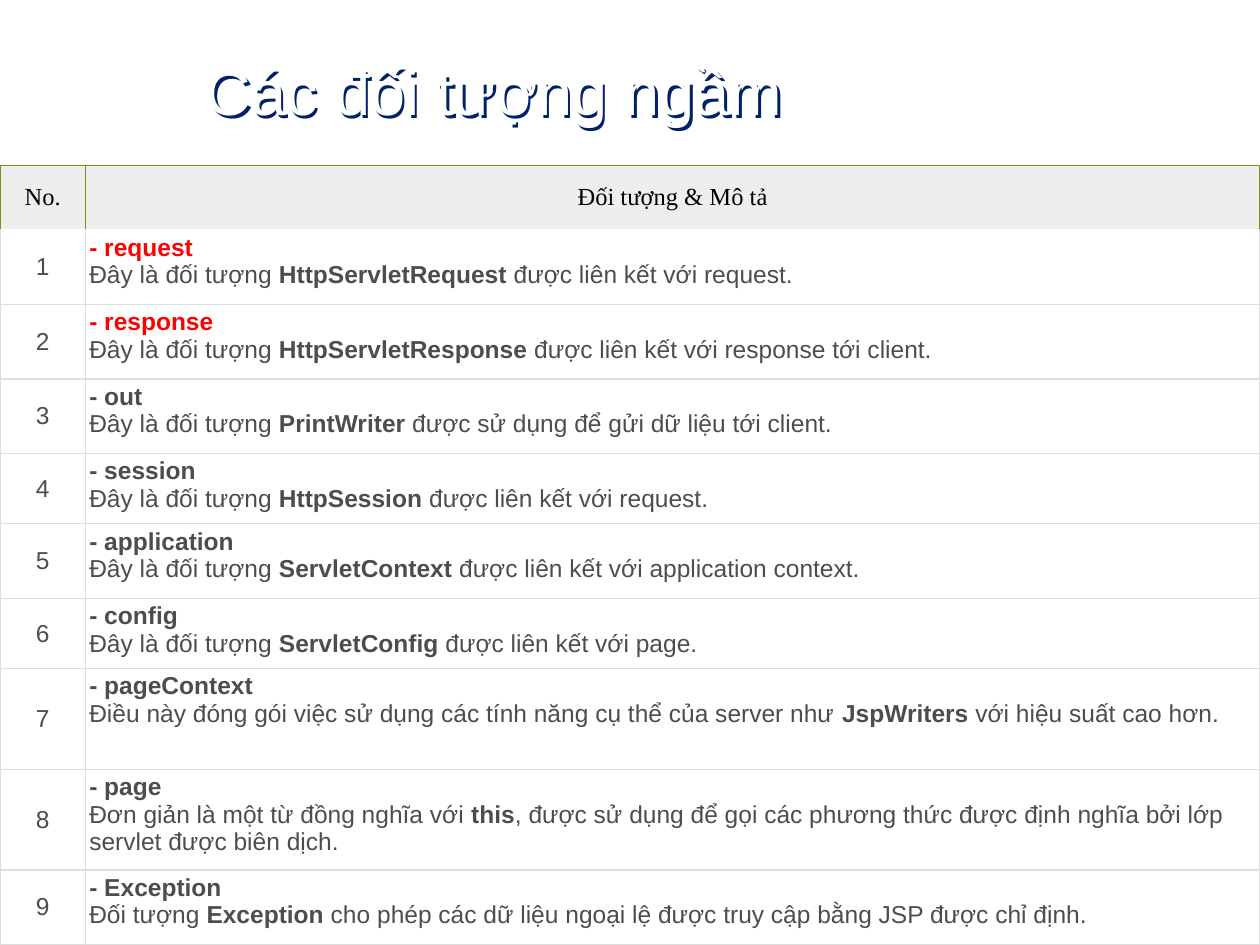
from dataclasses import dataclass

from lxml.etree import SubElement
from pptx import Presentation
from pptx.dml.color import RGBColor
from pptx.enum.shapes import MSO_SHAPE
from pptx.enum.text import MSO_ANCHOR, PP_ALIGN
from pptx.oxml import parse_xml
from pptx.oxml.ns import nsdecls, qn
from pptx.util import Cm, Pt


@dataclass(frozen=True)
class Theme:
    white: str = "FFFFFF"
    panel_line: str = "BDBDBD"
    title_shadow: str = "002068"
    header_fill: str = "EEEEEE"
    header_line: str = "809015"
    header_text: str = "000000"
    grid: str = "DDDDDD"
    text: str = "4D4D4D"
    highlight: str = "FF0000"
    title_size: int = 36
    table_size: int = 14
    border: float = 0.75
    sans: str = "Arial"
    serif: str = "Times New Roman"


THEME = Theme()
WIDTH, HEIGHT = 25.4, 19.05
TITLE_BOX = (3.89, 1.12, 21.0, 1.42)
PANEL_BOX = (0, 3.4, WIDTH, 15.65)
TABLE_BOX = (0, 3.33, WIDTH, 15.72)
NUMBER_WIDTH = 1.72
HEADER_HEIGHT = 1.31
SHORT, MEDIUM, TALL = 1.42, 1.5, 2.03
CELL_MARGIN = 0.08

HEADINGS = ("No.", "Đối tượng & Mô tả")
IS_OBJECT = "Đây là đối tượng "
# object name, row height, text before the class, class, text after it
OBJECTS = [
    ("request", MEDIUM, IS_OBJECT, "HttpServletRequest", " được liên kết với request."),
    ("response", MEDIUM, IS_OBJECT, "HttpServletResponse",
     " được liên kết với response tới client."),
    ("out", MEDIUM, IS_OBJECT, "PrintWriter", " được sử dụng để gửi dữ liệu tới client."),
    ("session", SHORT, IS_OBJECT, "HttpSession", " được liên kết với request."),
    ("application", MEDIUM, IS_OBJECT, "ServletContext",
     " được liên kết với application context."),
    ("config", SHORT, IS_OBJECT, "ServletConfig", " được liên kết với page."),
    ("pageContext", TALL,
     "Điều này đóng gói việc sử dụng các tính năng cụ thể của server như ",
     "JspWriters", " với hiệu suất cao hơn."),
    ("page", TALL, "Đơn giản là một từ đồng nghĩa với ", "this",
     ", được sử dụng để gọi các phương thức được định nghĩa bởi lớp "
     "servlet được biên dịch."),
    ("Exception", MEDIUM, "Đối tượng ", "Exception",
     " cho phép các dữ liệu ngoại lệ được truy cập bằng JSP được chỉ định."),
]
HIGHLIGHTED = {"request", "response"}


def apply_format(target, values):
    for name, value in values.items():
        setattr(target, name, value)


def add_run(paragraph, text, color=THEME.text, bold=False, font=THEME.sans,
            size=THEME.table_size):
    run = paragraph.add_run()
    run.text = text
    apply_format(run.font, {"name": font, "size": Pt(size), "bold": bold})
    run.font.color.rgb = RGBColor.from_string(color)


def set_borders(cell, left, right, top, bottom):
    properties = cell._tc.get_or_add_tcPr()
    sides = zip("LRTB", (left, right, top, bottom))
    for position, (side, color) in enumerate(sides):
        properties.insert(position, parse_xml(
            f'<a:ln{side} {nsdecls("a")} w="{Pt(THEME.border)}"><a:solidFill>'
            f'<a:srgbClr val="{color}"/></a:solidFill></a:ln{side}>'))


def style_cell(cell, fill, line, anchor):
    margins = ("margin_left", "margin_right", "margin_top", "margin_bottom")
    apply_format(cell, {**dict.fromkeys(margins, Cm(CELL_MARGIN)),
                        "vertical_anchor": anchor})
    cell.fill.solid()
    cell.fill.fore_color.rgb = RGBColor.from_string(fill)
    set_borders(cell, line, line, line, THEME.grid)


def fill_centred_cell(cell, text, fill=THEME.white, line=THEME.grid, **run_format):
    style_cell(cell, fill, line, MSO_ANCHOR.MIDDLE)
    paragraph = cell.text_frame.paragraphs[0]
    paragraph.alignment = PP_ALIGN.CENTER
    add_run(paragraph, text, **run_format)


def fill_description_cell(cell, name, before, class_name, after):
    style_cell(cell, THEME.white, THEME.grid, MSO_ANCHOR.TOP)
    heading = cell.text_frame.paragraphs[0]
    color = THEME.highlight if name in HIGHLIGHTED else THEME.text
    add_run(heading, f"- {name}", color, bold=True)
    description = cell.text_frame.add_paragraph()
    add_run(description, before)
    add_run(description, class_name, bold=True)
    add_run(description, after)


def place_title(slide, box):
    title = slide.shapes.title
    apply_format(title, dict(zip(("left", "top", "width", "height"), map(Cm, box))))
    apply_format(title.text_frame, {"word_wrap": True,
                                    "vertical_anchor": MSO_ANCHOR.MIDDLE})
    paragraph = title.text_frame.paragraphs[0]
    paragraph.alignment = PP_ALIGN.LEFT
    add_run(paragraph, "Các đối tượng ngầm", THEME.white, size=THEME.title_size)
    effects = SubElement(title._element.spPr, qn("a:effectLst"))
    shadow = SubElement(effects, qn("a:outerShdw"), dist=str(Pt(2)),
                        dir="2700000", algn="ctr", rotWithShape="0")
    SubElement(shadow, qn("a:srgbClr"), val=THEME.title_shadow)


def place_panel(slide, box):
    panel = slide.shapes.add_shape(MSO_SHAPE.RECTANGLE, *map(Cm, box))
    panel.shadow.inherit = False
    panel.fill.solid()
    panel.fill.fore_color.rgb = RGBColor.from_string(THEME.white)
    panel.line.color.rgb = RGBColor.from_string(THEME.panel_line)
    panel.line.width = Pt(2)


def place_object_table(slide, box):
    frame = slide.shapes.add_table(len(OBJECTS) + 1, len(HEADINGS), *map(Cm, box))
    table = frame.table
    apply_format(table, {"first_row": False, "horz_banding": False})
    for column, width in zip(table.columns, (NUMBER_WIDTH, box[2] - NUMBER_WIDTH)):
        column.width = Cm(width)
    table.rows[0].height = Cm(HEADER_HEIGHT)
    for column, heading in enumerate(HEADINGS):
        fill_centred_cell(table.cell(0, column), heading, THEME.header_fill,
                          THEME.header_line, color=THEME.header_text,
                          font=THEME.serif)
    for number, (name, height, *description) in enumerate(OBJECTS, start=1):
        table.rows[number].height = Cm(height)
        fill_centred_cell(table.cell(number, 0), str(number))
        fill_description_cell(table.cell(number, 1), name, *description)
    for cell in (table.cell(1, 0), table.cell(1, 1)):
        cell._tc.tcPr.remove(cell._tc.tcPr.find(qn("a:lnT")))


def main():
    presentation = Presentation()
    apply_format(presentation, {"slide_width": Cm(WIDTH), "slide_height": Cm(HEIGHT)})
    title_only = presentation.slide_layouts[5]
    slide = presentation.slides.add_slide(title_only)
    place_title(slide, TITLE_BOX)
    place_panel(slide, PANEL_BOX)
    place_object_table(slide, TABLE_BOX)
    presentation.save("out.pptx")


if __name__ == "__main__":
    main()
